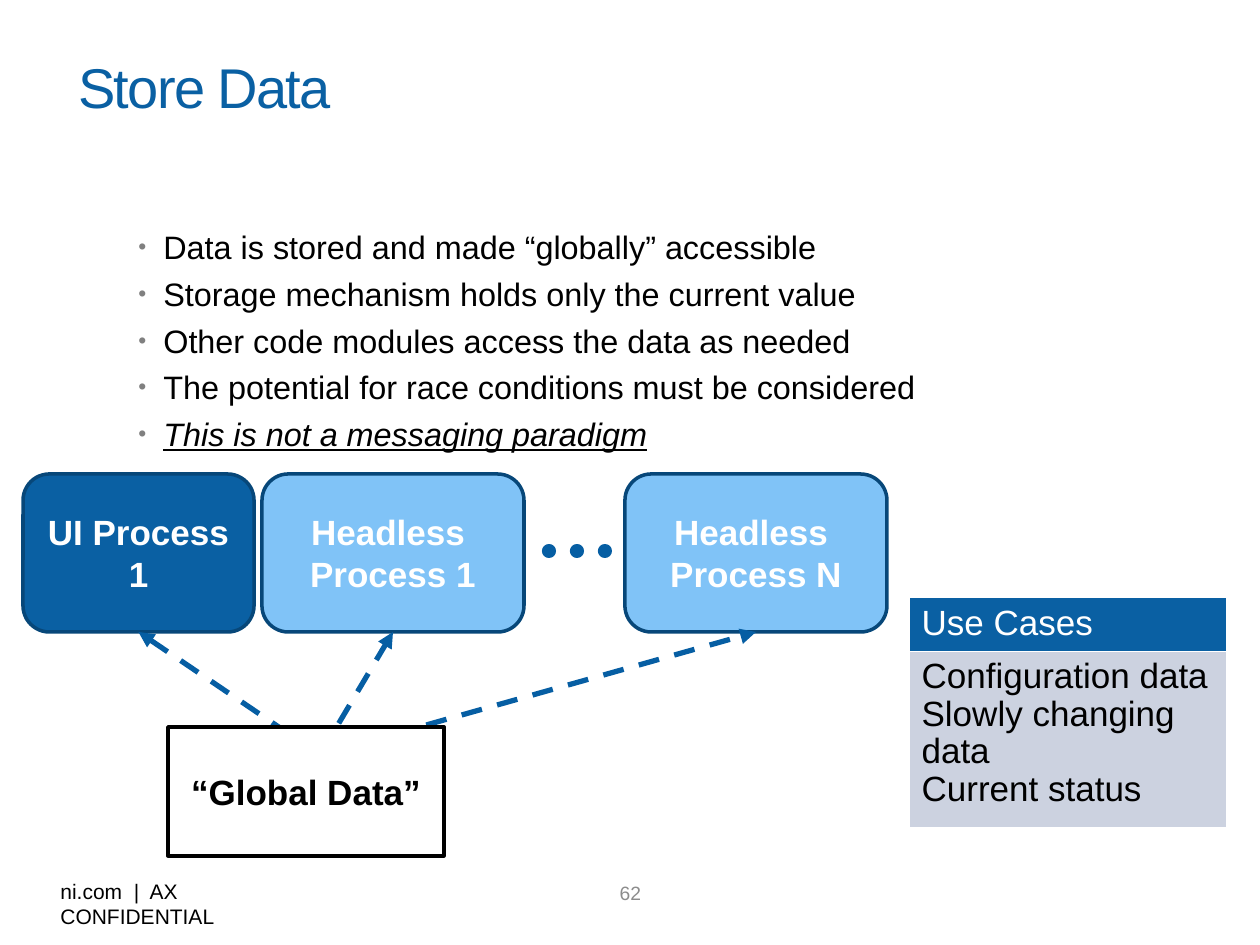
"""Build the Store Data slide: bullets, process diagram and use-case table."""
from lxml import etree
from pptx import Presentation
from pptx.dml.color import RGBColor
from pptx.enum import dml, shapes, text
from pptx.oxml.ns import qn
from pptx.util import Emu, Pt

BLUE = RGBColor(0x0A, 0x60, 0xA3)
ARROW_BLUE = RGBColor(0x06, 0x5E, 0xA3)
EDGE_BLUE = RGBColor(0x07, 0x47, 0x79)
LIGHT_BLUE = RGBColor(0x80, 0xC3, 0xF7)
CELL_GRAY = RGBColor(0xCC, 0xD2, 0xE0)
PAGE_GRAY = RGBColor(0x8C, 0x8C, 0x8C)
BLACK = RGBColor(0, 0, 0)
WHITE = RGBColor(255, 255, 255)

FONT = "Arial"
EMU_PER_PX = 914400 / 126

TITLE = "Store Data"
FOOTER = "ni.com  |  AX CONFIDENTIAL"
PAGE_NUMBER = "62"
BULLETS = [
    ("Data is stored and made “globally” accessible", False),
    ("Storage mechanism holds only the current value", False),
    ("Other code modules access the data as needed", False),
    ("The potential for race conditions must be considered", False),
    ("This is not a messaging paradigm", True),
]
PROCESSES = [
    (23, 231, BLUE, ["UI Process 1"]),
    (262, 262, LIGHT_BLUE, ["Headless ", "Process 1"]),
    (625, 262, LIGHT_BLUE, ["Headless ", "Process N"]),
]
PROCESS_TOP, PROCESS_HEIGHT = 474, 158
STORE = "“Global Data”"
STORE_BOX = (168, 727, 276, 129)
ARROW_START = (320, 755)
USE_CASES = [
    (52, BLUE, WHITE, 1, ["Use Cases"]),
    (167, CELL_GRAY, BLACK, 0.97,
     ["Configuration data", "Slowly changing data", "Current status"]),
]


def px(*values):
    return [Emu(round(value * EMU_PER_PX)) for value in values]


def write(frame, lines, size, color, bold=False, align=None, spacing=None):
    frame.word_wrap = True
    for index, line in enumerate(lines):
        paragraph = frame.paragraphs[0] if index == 0 else frame.add_paragraph()
        paragraph.alignment = align
        paragraph.line_spacing = spacing
        run = paragraph.add_run()
        run.text = line
        font = run.font
        font.name, font.size, font.bold = FONT, Pt(size), bold
        font.color.rgb = color


def add_label(slide, box, line, size, color, anchor, align=None):
    frame = slide.shapes.add_textbox(*px(*box)).text_frame
    frame.vertical_anchor = anchor
    write(frame, [line], size, color, align=align)
    return frame


def add_box(slide, kind, box, fill, edge, lines, color):
    shape = slide.shapes.add_shape(kind, *px(*box))
    shape.shadow.inherit = False
    shape.fill.solid()
    shape.fill.fore_color.rgb = fill
    shape.line.color.rgb = edge
    shape.line.width = Pt(2)
    shape.text_frame.vertical_anchor = text.MSO_ANCHOR.MIDDLE
    write(shape.text_frame, lines, 20, color, True, text.PP_ALIGN.CENTER)
    return shape


def add_line(slide, start, end, width, dash):
    line = slide.shapes.add_connector(
        shapes.MSO_CONNECTOR.STRAIGHT, *px(*start, *end))
    line.line.color.rgb = ARROW_BLUE
    line.line.width = Pt(width)
    line.line.dash_style = dash
    etree.SubElement(line._element.spPr, qn("a:effectLst"))
    return line


def add_bullets(slide):
    frame = slide.shapes.add_textbox(*px(63, 221, 1134, 222)).text_frame
    write(frame, [line for line, _ in BULLETS], 18.5, BLACK)
    for index, (paragraph, (_, stressed)) in enumerate(zip(frame.paragraphs, BULLETS)):
        paragraph.space_before = Pt(4.5 if index else 0)
        properties = paragraph._p.get_or_add_pPr()
        indent, = px(25)
        properties.set("marL", str(px(88)[0]))
        properties.set("indent", str(-indent))
        color = etree.SubElement(properties, qn("a:buClr"))
        etree.SubElement(color, qn("a:srgbClr"), val="808080")
        etree.SubElement(properties, qn("a:buSzPct"), val="70000")
        etree.SubElement(properties, qn("a:buFont"), typeface=FONT)
        etree.SubElement(properties, qn("a:buChar"), char="•")
        if stressed:
            font = paragraph.runs[0].font
            font.italic = font.underline = True


def add_diagram(slide):
    for left, width, fill, lines in PROCESSES:
        box = (left, PROCESS_TOP, width, PROCESS_HEIGHT)
        process = add_box(slide, shapes.MSO_SHAPE.ROUNDED_RECTANGLE, box,
                          fill, EDGE_BLUE, lines, WHITE)
        end = (left + width / 2, PROCESS_TOP + PROCESS_HEIGHT)
        arrow = add_line(slide, ARROW_START, end, 3, dml.MSO_LINE.DASH)
        arrow.end_connect(process, 2)
        etree.SubElement(arrow.line._get_or_add_ln(), qn("a:tailEnd"), type="triangle")
    dots = add_line(slide, (605, 551), (543, 551), 8, dml.MSO_LINE.ROUND_DOT)
    dots.line._get_or_add_ln().set("cap", "rnd")
    add_box(slide, shapes.MSO_SHAPE.RECTANGLE, STORE_BOX, WHITE, BLACK, [STORE], BLACK)


def add_use_cases(slide):
    height = sum(row[0] for row in USE_CASES)
    table = slide.shapes.add_table(len(USE_CASES), 1, *px(909, 597, 318, height)).table
    for index, (row_height, fill, color, spacing, lines) in enumerate(USE_CASES):
        table.rows[index].height, = px(row_height)
        cell = table.cell(index, 0)
        cell.fill.solid()
        cell.fill.fore_color.rgb = fill
        write(cell.text_frame, lines, 20, color, spacing=spacing)


def main():
    presentation = Presentation()
    presentation.slide_width, presentation.slide_height = px(1260, 945)
    slide = presentation.slides.add_slide(presentation.slide_layouts[6])
    add_label(slide, (606, 874, 49, 38), PAGE_NUMBER, 11, PAGE_GRAY,
              text.MSO_ANCHOR.MIDDLE, text.PP_ALIGN.CENTER)
    footer = add_label(slide, (48, 872, 299, 38), FOOTER, 12, BLACK, text.MSO_ANCHOR.TOP)
    footer.word_wrap = False
    title = add_label(slide, (66, 20, 1125, 132), TITLE, 32, BLUE, text.MSO_ANCHOR.MIDDLE)
    title.paragraphs[0].runs[0].font._element.set("spc", "-100")
    add_bullets(slide)
    add_diagram(slide)
    add_use_cases(slide)
    presentation.save("out.pptx")


if __name__ == "__main__":
    main()
